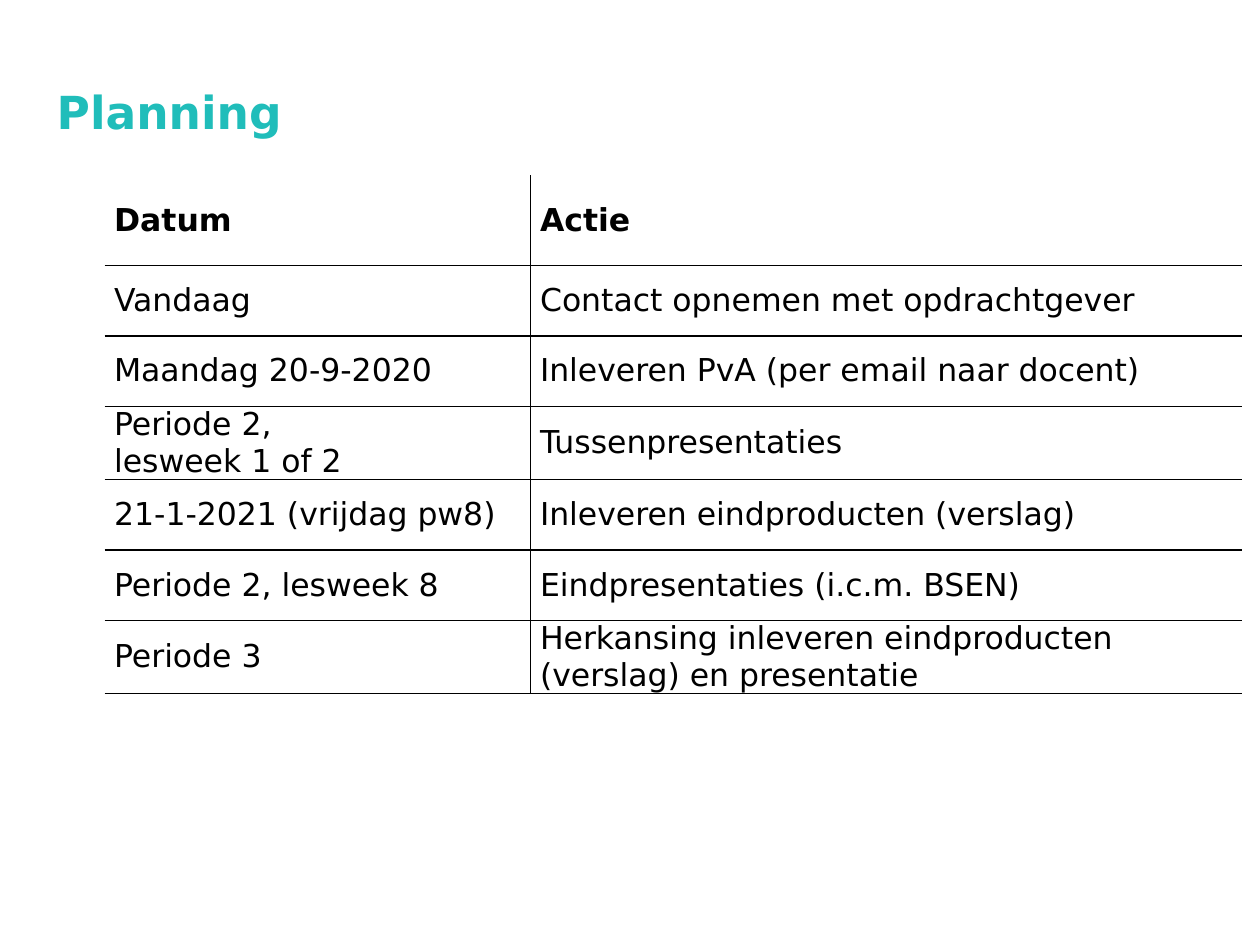
from lxml import etree
from pptx import Presentation
from pptx.dml.color import RGBColor
from pptx.enum.text import MSO_ANCHOR, MSO_AUTO_SIZE, PP_ALIGN
from pptx.oxml.ns import qn
from pptx.util import Pt

MIDDLE, BOTTOM = MSO_ANCHOR.MIDDLE, MSO_ANCHOR.BOTTOM
NO_AUTOFIT = MSO_AUTO_SIZE.NONE
LEFT = PP_ALIGN.LEFT
TITLE_ONLY = 5

TITLE = "Planning"
ROWS = [
    ("Datum", "Actie"),
    ("Vandaag", "Contact opnemen met opdrachtgever"),
    ("Maandag 20-9-2020", "Inleveren PvA (per email naar docent)"),
    ("Periode 2,\vlesweek 1 of 2", "Tussenpresentaties"),
    ("21-1-2021 (vrijdag pw8)", "Inleveren eindproducten (verslag)"),
    ("Periode 2, lesweek 8", "Eindpresentaties (i.c.m. BSEN)"),
    ("Periode 3", "Herkansing inleveren eindproducten\v(verslag) en presentatie"),
]
COLORS = {"title": "20BDBA", "text": "000000", "line": "000000", "cell": "FFFFFF"}
FONT = "DejaVu Sans"
COLUMN_WIDTHS = [243.4, 406.8]
HEADER_HEIGHT, ROW_HEIGHT = 51.6, 40.3
TABLE_LEFT, TABLE_TOP = 59.8, 100


def format_paragraphs(text_frame, size, color, bold):
    for paragraph in text_frame.paragraphs:
        paragraph.alignment = LEFT
        font = paragraph.font
        font.name, font.size, font.bold = FONT, Pt(size), bold
        font.color.rgb = RGBColor.from_string(COLORS[color])


def set_border(cell, side, visible):
    properties = cell._tc.get_or_add_tcPr()
    line = etree.SubElement(properties, qn(f"a:ln{side}"), w=str(Pt(1)))
    if visible:
        fill = etree.SubElement(line, qn("a:solidFill"))
        etree.SubElement(fill, qn("a:srgbClr"), val=COLORS["line"])
    else:
        etree.SubElement(line, qn("a:noFill"))


def add_title(slide):
    title = slide.shapes.title
    title.left, title.top, title.width, title.height = Pt(25.2), Pt(-7.2), Pt(648), Pt(90)
    text_frame = title.text_frame
    text_frame.text = TITLE
    text_frame.auto_size = NO_AUTOFIT
    text_frame.vertical_anchor = BOTTOM
    format_paragraphs(text_frame, 26, "title", True)


def add_planning_table(slide):
    heights = [HEADER_HEIGHT] + [ROW_HEIGHT] * (len(ROWS) - 1)
    table = slide.shapes.add_table(
        len(ROWS), len(COLUMN_WIDTHS), Pt(TABLE_LEFT), Pt(TABLE_TOP),
        Pt(sum(COLUMN_WIDTHS)), Pt(sum(heights)),
    ).table
    table.horz_banding = False
    for column, width in zip(table.columns, COLUMN_WIDTHS):
        column.width = Pt(width)
    for row, height in zip(table.rows, heights):
        row.height = Pt(height)
    last_column = len(COLUMN_WIDTHS) - 1
    for row_index, texts in enumerate(ROWS):
        for column_index, text in enumerate(texts):
            cell = table.cell(row_index, column_index)
            cell.text = text
            cell.vertical_anchor = MIDDLE
            cell.margin_left = cell.margin_right = Pt(5.4)
            cell.margin_top = cell.margin_bottom = 0
            set_border(cell, "L", column_index > 0)
            set_border(cell, "R", column_index < last_column)
            set_border(cell, "T", row_index > 0)
            set_border(cell, "B", True)
            cell.fill.solid()
            cell.fill.fore_color.rgb = RGBColor.from_string(COLORS["cell"])
            format_paragraphs(cell.text_frame, 18, "text", row_index == 0)


def main():
    presentation = Presentation()
    presentation.slide_width, presentation.slide_height = Pt(720), Pt(540)
    slide = presentation.slides.add_slide(presentation.slide_layouts[TITLE_ONLY])
    add_title(slide)
    add_planning_table(slide)
    presentation.save("out.pptx")


if __name__ == "__main__":
    main()
